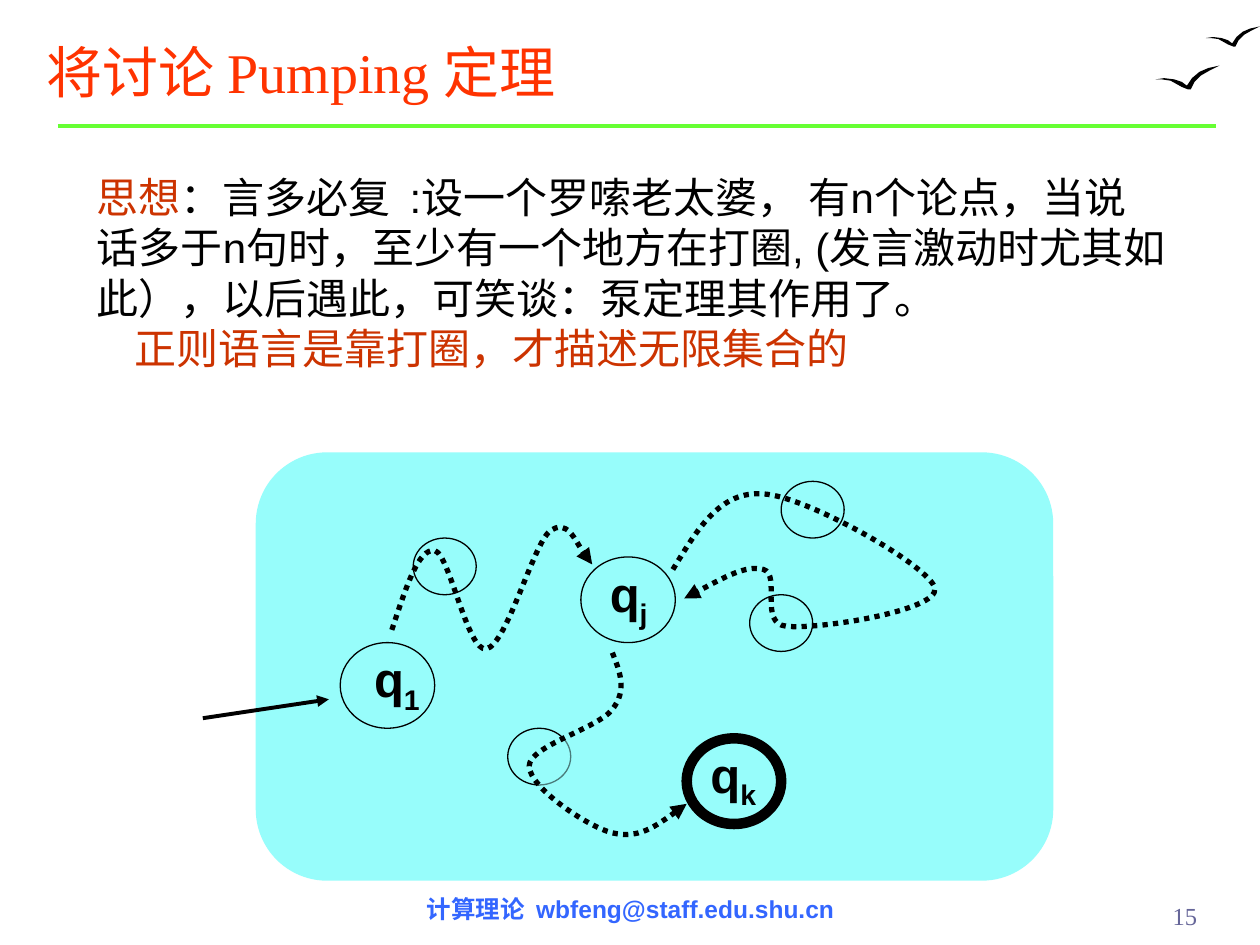
"""Build the slide on the idea behind the Pumping theorem."""
import pptx
import pptx.util
import pptx.dml.color
import pptx.enum.dml
import pptx.enum.shapes
import pptx.enum.text
import pptx.oxml
import pptx.oxml.ns

PX = 9144
HUE = {"ink": "000000", "title": "FF3300", "rule": "66FF33", "foot": "3366FF",
       "key": "CC3300", "page": "666699", "pool": "97FDFB"}
KIND = pptx.enum.shapes.MSO_SHAPE
ALIGN = pptx.enum.text.PP_ALIGN
FIT = pptx.enum.text.MSO_AUTO_SIZE
qn = pptx.oxml.ns.qn

BIRD = [(0, 11), (7, 10), (15, 11), (21, 13), (25, 16), (29, 10), (35, 5), (42, 2),
        (51, 0), (43, 4), (36, 8), (31, 13), (28, 19), (26, 19), (21, 17), (12, 12), (5, 11)]
LEFT = [(311, 500), (322, 467), (332, 435), (345, 437), (357, 440), (371, 518), (386, 515),
        (402, 512), (423, 433), (436, 422), (450, 411), (464, 443), (470, 448)]
LOOP = [(534, 452), (553, 421), (571, 389), (606, 392), (641, 394), (739, 450), (742, 467),
        (745, 485), (647, 500), (624, 497), (602, 495), (620, 456), (606, 452),
        (592, 448), (568, 462), (543, 475)]
DOWN = [(486, 518), (492, 533), (498, 548), (486, 563), (475, 578), (420, 592), (420, 608),
        (420, 625), (466, 656), (486, 661), (507, 666), (526, 652), (545, 638)]


def emu(*nums):
    return [pptx.util.Emu(round(n * PX)) for n in nums]


def rgb(name):
    return pptx.dml.color.RGBColor.from_string(HUE[name])


def sub(node, tag, **attrs):
    kid = node.makeelement(qn(tag), attrs)
    node.append(kid)
    return kid


def paint(shape, fill=None, alpha=None, width=None):
    shape.shadow.inherit = False
    if fill:
        shape.fill.solid()
        shape.fill.fore_color.rgb = rgb(fill)
        if alpha:
            tint = shape._element.spPr.find(qn("a:solidFill"))[0]
            sub(tint, "a:alpha", val=str(alpha * 1000))
    else:
        shape.fill.background()
    if width:
        stroke(shape.line, "ink", width)
    else:
        shape.line.fill.background()


def stroke(line, hue, width):
    line.color.rgb = rgb(hue)
    line.width = pptx.util.Pt(width)


def tip(shape):
    sub(shape._element.spPr.find(qn("a:ln")), "a:tailEnd", type="triangle")


def write(para, text, size, hue, font="Arial", bold=False, base=None):
    run = para.add_run()
    run.text = text
    run.font.size = pptx.util.Pt(size)
    run.font.name = font
    run.font.bold = bold
    run.font.color.rgb = rgb(hue)
    if base:
        run.font._element.set("baseline", str(base * 1000))


def box(shapes, place, align=ALIGN.LEFT, wrap=True, grow=True, before=0):
    frame = shapes.add_textbox(*emu(*place)).text_frame
    frame.word_wrap = wrap
    frame.auto_size = FIT.SHAPE_TO_FIT_TEXT if grow else FIT.NONE
    para = frame.paragraphs[0]
    para.alignment = align
    para.space_before = pptx.util.Pt(before)
    return frame, para


def line(shapes, ends, hue, arrow=False):
    kind = pptx.enum.shapes.MSO_CONNECTOR.STRAIGHT
    link = shapes.add_connector(kind, *emu(*ends))
    stroke(link.line, hue, 2.25)
    if arrow:
        tip(link)
    sub(link._element.spPr, "a:effectLst")


def block(shapes, kind, place, **look):
    paint(shapes.add_shape(kind, *emu(*place)), **look)


def bird(shapes, x, y, size):
    pts = [(x + size * a, y + size * b) for a, b in BIRD]
    pen = shapes.build_freeform(*emu(*pts[0]))
    pen.add_line_segments([emu(*p) for p in pts[1:]], close=True)
    paint(pen.convert_to_shape(), fill="ink")


def curve(shapes, pts, **look):
    pen = shapes.build_freeform(*pts[0], scale=PX)
    pen.add_line_segments(pts[1:], close=False)
    shape = pen.convert_to_shape()
    trail = shape._element.find(".//" + qn("a:path"))
    legs = trail.findall(qn("a:lnTo"))
    for i in range(0, len(legs), 3):
        bend = sub(trail, "a:cubicBezTo")
        for leg in legs[i:i + 3]:
            bend.append(leg[0])
            trail.remove(leg)
    paint(shape, width=3, **look)
    shape.line.dash_style = pptx.enum.dml.MSO_LINE.ROUND_DOT
    tip(shape)


def state(shapes, x, y, mark, place, width=0.75):
    block(shapes, KIND.OVAL, (x, y, 75, 68), fill="pool", width=width)
    para = box(shapes, place, ALIGN.CENTER, wrap=False)[1]
    write(para, "q", 28, "ink", bold=True)
    write(para, mark, 28, "ink", bold=True, base=-25)


def graph(slide):
    shapes = slide.shapes.add_group_shape().shapes
    block(shapes, KIND.FLOWCHART_ALTERNATE_PROCESS, (203, 359, 633, 340), fill="pool")
    state(shapes, 270, 510, "1", (287, 510, 56, 63))
    state(shapes, 545, 586, "k", (554, 586, 56, 63), width=6)
    state(shapes, 461, 442, "j", (474, 442, 50, 63))
    line(shapes, (161, 570, 261, 555), "ink", arrow=True)
    for x, y in [(328, 427), (620, 382), (595, 472), (403, 578)]:
        block(shapes, KIND.OVAL, (x, y, 50, 45), fill="pool", alpha=50, width=0.75)
    curve(shapes, LEFT)
    curve(shapes, LOOP)
    curve(shapes, DOWN, fill="pool", alpha=49)


def head(slide):
    title = slide.shapes.title
    title.left, title.top, title.width, title.height = emu(27, 21, 939, 67)
    frame = title.text_frame
    frame.auto_size = FIT.NONE
    frame.vertical_anchor = pptx.enum.text.MSO_ANCHOR.BOTTOM
    para = frame.paragraphs[0]
    para.alignment = ALIGN.LEFT
    write(para, "将讨论 Pumping 定理", 32, "title", "Times New Roman")


def body(slide):
    frame, para = box(slide.shapes, (67, 131, 868, 170))
    write(para, "思想", 24, "key")
    write(para, "：言多必复  :设一个罗嗦老太婆， 有n个论点，当说话多于n句时，"
          "至少有一个地方在打圈, (发言激动时尤其如此），以后遇此，"
          "可笑谈：泵定理其作用了。", 24, "ink")
    para = frame.add_paragraph()
    para._p.get_or_add_pPr().set("indent", str(30 * PX))
    write(para, "正则语言是靠打圈，才描述无限集合的", 24, "key")


def foot(slide):
    para = box(slide.shapes, (284, 705, 433, 34), ALIGN.CENTER, before=8.8)[1]
    write(para, "计算理论  wbfeng@staff.edu.shu.cn", 14, "foot", bold=True)
    para = box(slide.shapes, (873, 710, 87, 31), ALIGN.RIGHT, grow=False, before=8.8)[1]
    write(para, "15", 14, "page", "Times New Roman")


def main():
    deck = pptx.Presentation()
    deck.slide_width, deck.slide_height = emu(1000, 750)
    slide = deck.slides.add_slide(deck.slide_layouts[5])
    bird(slide.shapes, 957, 21, 0.84)
    bird(slide.shapes, 917, 52, 1)
    line(slide.shapes, (46, 100, 965, 100), "rule")
    head(slide)
    graph(slide)
    body(slide)
    foot(slide)
    deck.save("out.pptx")


if __name__ == "__main__":
    main()
